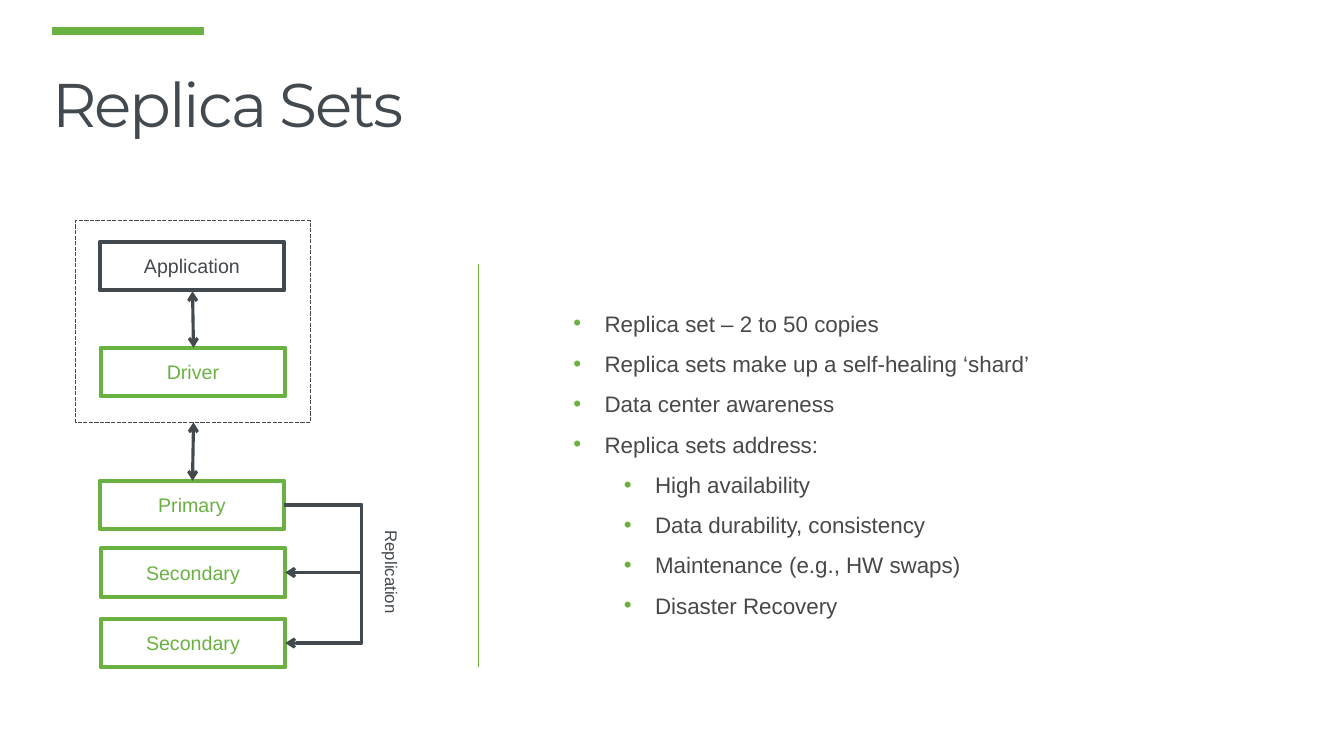
from pptx import Presentation
from pptx.dml.color import RGBColor
from pptx.enum.dml import MSO_LINE
from pptx.enum.shapes import MSO_CONNECTOR, MSO_SHAPE
from pptx.enum.text import MSO_ANCHOR, PP_ALIGN
from pptx.oxml.ns import qn
from pptx.util import Inches, Pt
from lxml import etree

RECT = MSO_SHAPE.RECTANGLE
LINE, ELBOW = MSO_CONNECTOR.STRAIGHT, MSO_CONNECTOR.ELBOW
DASH = MSO_LINE.SQUARE_DOT
MIDDLE, BOTTOM = MSO_ANCHOR.MIDDLE, MSO_ANCHOR.BOTTOM
CENTER = PP_ALIGN.CENTER
CELL = 0.1
WIDE, HIGH = 133.33, 75
GREEN, SLATE, GRAY = "69B241", "42494F", "494747"


def grid(*cells):
    return [Inches(cell * CELL) for cell in cells]


def color(code):
    return RGBColor.from_string(code)


def node(parent, tag, **attrs):
    item = etree.SubElement(parent, qn(tag))
    for key, value in attrs.items():
        item.set(key, str(value))
    return item


def apply(target, values):
    for key, value in values.items():
        setattr(target, key, value)


class Board:
    font = "Arial"

    def __init__(self, slide):
        self.slide = slide
        self.shapes = slide.shapes

    def words(self, para, text, size, code, font=None):
        para.text = text
        apply(para.runs[0].font, {"name": font or self.font, "size": Pt(size)})
        para.runs[0].font.color.rgb = color(code)

    def box(self, place, code, width, text=None, dash=None):
        shape = self.shapes.add_shape(RECT, *grid(*place))
        shape.shadow.inherit = False
        shape.fill.solid()
        shape.fill.fore_color.rgb = color("FFFFFF")
        shape.line.color.rgb = color(code)
        apply(shape.line, {"width": Pt(width), "dash_style": dash})
        if text:
            shape.text_frame.vertical_anchor = MIDDLE
            para = shape.text_frame.paragraphs[0]
            para.alignment = CENTER
            self.words(para, text, 14, code)

    def line(self, ends, code, width, head=False, tail=False, bend=None):
        link = self.shapes.add_connector(ELBOW if bend else LINE, *grid(*ends))
        link.line.color.rgb = color(code)
        link.line.width = Pt(width)
        props = link._element.spPr
        stroke = props.find(qn("a:ln"))
        for tag, shown in (("a:headEnd", head), ("a:tailEnd", tail)):
            if shown:
                node(stroke, tag, type="arrow")
        node(props, "a:effectLst")
        if bend:
            guides = props.find(qn("a:prstGeom")).get_or_add_avLst()
            ratio = (bend - ends[0]) / (ends[2] - ends[0])
            node(guides, "a:gd", name="adj1", fmla=f"val {round(ratio * 100000)}")

    def text(self, place, anchor=None, wrap=True, turn=0):
        area = self.shapes.add_textbox(*grid(*place))
        area.rotation = turn
        apply(area.text_frame, {"word_wrap": wrap, "vertical_anchor": anchor})
        return area.text_frame

    def title(self, place, text):
        para = self.text(place, BOTTOM).paragraphs[0]
        para.line_spacing = 0.9
        self.words(para, text, 44, SLATE, "Montserrat")
        para.runs[0]._r.get_or_add_rPr().set("spc", "-150")

    def label(self, place, text, turn):
        para = self.text(place, wrap=False, turn=turn).paragraphs[0]
        self.words(para, text, 12, SLATE)

    def list(self, place, items):
        frame = self.text(place, MIDDLE)
        for index, (level, text) in enumerate(items):
            para = frame.paragraphs[0] if index == 0 else frame.add_paragraph()
            apply(para, {"level": level, "line_spacing": 1.5})
            props = para._p.get_or_add_pPr()
            left, hang = grid(3.1 + 5 * level, -3.1)
            props.set("marL", str(left))
            props.set("indent", str(hang))
            node(node(props, "a:buClr"), "a:srgbClr", val=GREEN)
            node(props, "a:buFont", typeface=self.font)
            node(props, "a:buChar", char="•")
            self.words(para, text, 16, GRAY)


def main():
    deck = Presentation()
    deck.slide_width, deck.slide_height = grid(WIDE, HIGH)
    board = Board(deck.slides.add_slide(deck.slide_layouts[6]))

    board.box((7.5, 21.9, 23.3, 20), SLATE, 1, dash=DASH)
    board.title((4.2, 0, 128.3, 14.5), "Replica Sets")
    board.line((5.2, 3.1, 20.2, 3.1), GREEN, 6)
    board.line((47.5, 26.2, 47.5, 66.2), GREEN, 0.5)
    board.list((55.9, 21.9, 66.5, 47), (
        (0, "Replica set – 2 to 50 copies"),
        (0, "Replica sets make up a self-healing ‘shard’"),
        (0, "Data center awareness"),
        (0, "Replica sets address:"),
        (1, "High availability"),
        (1, "Data durability, consistency"),
        (1, "Maintenance (e.g., HW swaps)"),
        (1, "Disaster Recovery"),
    ))
    for text, left, top, code in (
        ("Application", 9.9, 24, SLATE),
        ("Driver", 10, 34.5, GREEN),
        ("Primary", 9.9, 47.7, GREEN),
        ("Secondary", 10, 54.4, GREEN),
        ("Secondary", 10, 61.4, GREEN),
    ):
        board.box((left, top, 18.3, 4.8), code, 3, text)
    for start, end in ((28.9, 34.5), (47.7, 41.9)):
        board.line((19.1, start, 19.2, end), SLATE, 2.25, head=True, tail=True)
    for end in (56.8, 63.8):
        board.line((28.2, 50.1, 28.3, end), SLATE, 2.25, tail=True, bend=36)
    board.label((33.7, 55.3, 10.3, 3), "Replication", 90)
    deck.save("out.pptx")


if __name__ == "__main__":
    main()
